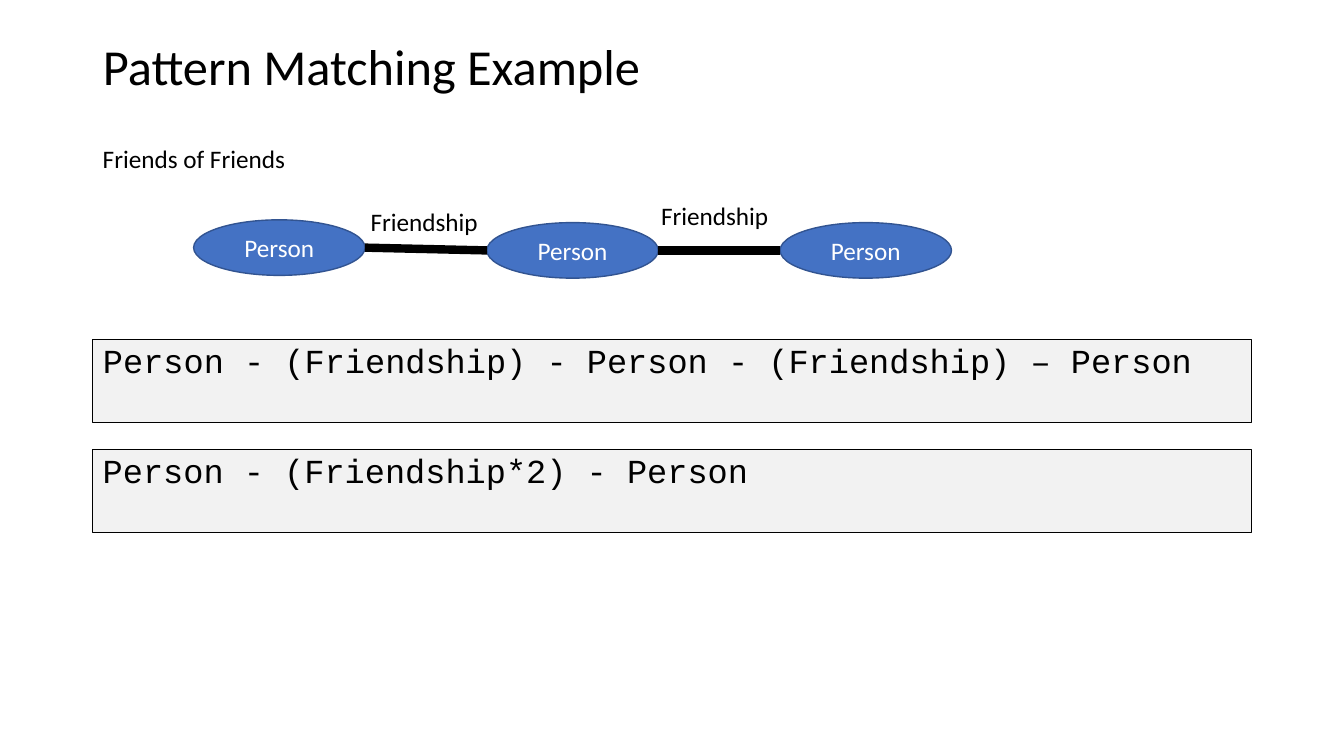
import pptx
import pptx.util
import pptx.dml.color
import pptx.enum.shapes
import pptx.enum.text
import pptx.oxml.ns
import lxml.etree

Cm = pptx.util.Cm
Pt = pptx.util.Pt
Anchor = pptx.enum.text.MSO_ANCHOR
Align = pptx.enum.text.PP_ALIGN


def color(hex_value):
    return pptx.dml.color.RGBColor.from_string(hex_value)


def write(box, text, size, font="Calibri", ink="000000", align=Align.LEFT, anchor=Anchor.TOP, wrap=True):
    """Fill a shape with one styled paragraph and return the paragraph."""
    frame = box.text_frame
    frame.text = text
    frame.word_wrap = wrap
    frame.auto_size = pptx.enum.text.MSO_AUTO_SIZE.NONE if wrap else pptx.enum.text.MSO_AUTO_SIZE.SHAPE_TO_FIT_TEXT
    frame.vertical_anchor = anchor
    para = frame.paragraphs[0]
    para.alignment = align
    para.font.size = Pt(size)
    para.font.name = font
    para.font.color.rgb = color(ink)
    return para


deck = pptx.Presentation()
deck.slide_width = Cm(33.87)
deck.slide_height = Cm(19.05)
slide = deck.slides.add_slide(deck.slide_layouts[1])
shapes = slide.shapes
left_margin, content_width = Cm(2.34), Cm(29.21)

title = shapes.title
title.left, title.top, title.width, title.height = left_margin, Cm(1.02), content_width, Cm(1.45)
title_para = write(title, "Pattern Matching Example", 36, anchor=Anchor.MIDDLE)
title_para.line_spacing = 0.9

# Query patterns in framed code boxes
long_pattern = slide.placeholders[1]
short_pattern = shapes.add_textbox(0, 0, 0, 0)
for box, top, pattern in (
    (long_pattern, 8.56, "Person - (Friendship) - Person - (Friendship) – Person"),
    (short_pattern, 11.33, "Person - (Friendship*2) - Person"),
):
    box.left, box.top, box.width, box.height = left_margin, Cm(top), content_width, Cm(2.08)
    box.fill.solid()
    box.fill.fore_color.rgb = color("F2F2F2")
    box.line.color.rgb = color("000000")
    box.line.width = Pt(0.75)
    para = write(box, pattern, 24, font="Courier New")
    para.line_spacing = 0.9
    para.space_before = Pt(10)
    properties = para._p.get_or_add_pPr()
    properties.set("marL", "0")
    properties.set("indent", "0")
    lxml.etree.SubElement(properties, pptx.oxml.ns.qn("a:buNone"))

# Graph of three people joined by two friendships
person_width, person_height, person_step = 4.32, 1.4, 7.39
person_tops = (5.54, 5.61, 5.61)
person_lefts = [4.88 + i * person_step for i in range(len(person_tops))]
for left, top in zip(person_lefts, person_tops):
    person = shapes.add_shape(
        pptx.enum.shapes.MSO_SHAPE.OVAL, Cm(left), Cm(top), Cm(person_width), Cm(person_height))
    person.shadow.inherit = False
    person.fill.solid()
    person.fill.fore_color.rgb = color("4472C4")
    person.line.color.rgb = color("325491")
    person.line.width = Pt(1)
    write(person, "Person", 18, ink="FFFFFF", align=Align.CENTER, anchor=Anchor.MIDDLE)

for i in range(len(person_tops) - 1):
    friendship = shapes.add_connector(
        pptx.enum.shapes.MSO_CONNECTOR.STRAIGHT,
        Cm(person_lefts[i] + person_width), Cm(person_tops[i] + person_height / 2),
        Cm(person_lefts[i + 1]), Cm(person_tops[i + 1] + person_height / 2))
    friendship.line.color.rgb = color("000000")
    friendship.line.width = Pt(6)
    lxml.etree.SubElement(friendship._element.spPr, pptx.oxml.ns.qn("a:effectLst"))

for text, left, top, width in (
    ("Friends of Friends", 2.34, 3.48, 5.16),
    ("Friendship", 9.09, 5.08, 3.25),
    ("Friendship", 16.41, 4.93, 3.25),
):
    label = shapes.add_textbox(Cm(left), Cm(top), Cm(width), Cm(1.02))
    write(label, text, 18, wrap=False)

deck.save("out.pptx")
